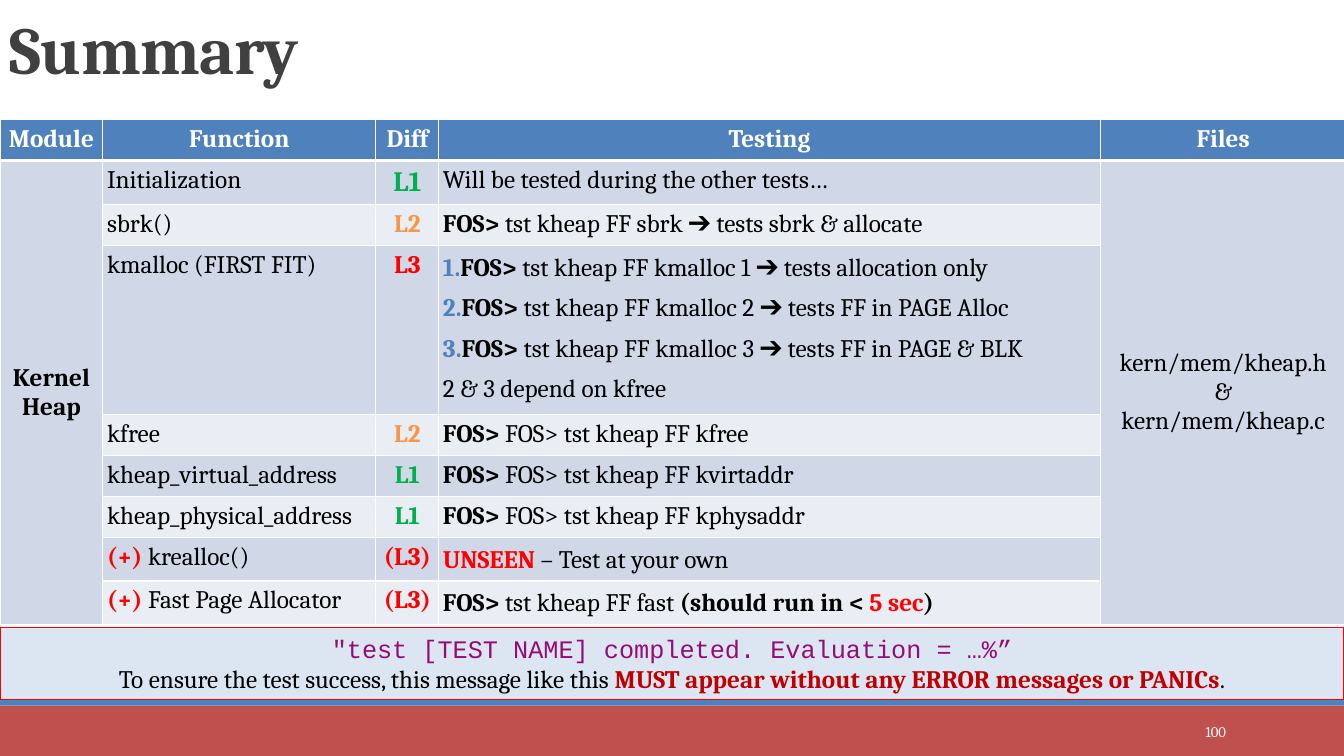
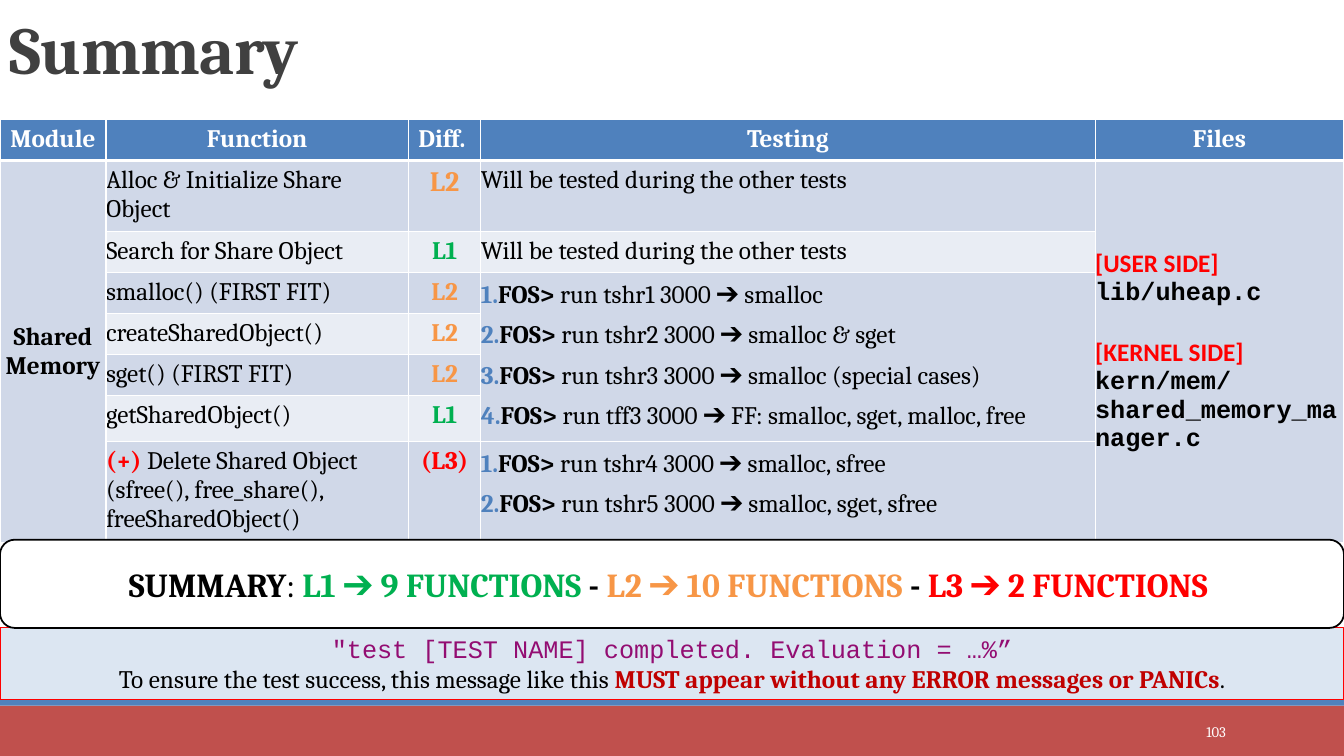
from dataclasses import dataclass, field
from typing import Any, Optional

from lxml import etree
from pptx import Presentation
from pptx.dml.color import RGBColor
from pptx.enum.shapes import MSO_SHAPE
from pptx.enum.text import MSO_ANCHOR, PP_ALIGN
from pptx.oxml.ns import qn
from pptx.util import Emu, Pt

RECT, ROUND_RECT = MSO_SHAPE.RECTANGLE, MSO_SHAPE.ROUNDED_RECTANGLE
LEFT, CENTER, RIGHT = PP_ALIGN.LEFT, PP_ALIGN.CENTER, PP_ALIGN.RIGHT
TOP, MIDDLE, BOTTOM = MSO_ANCHOR.TOP, MSO_ANCHOR.MIDDLE, MSO_ANCHOR.BOTTOM

EMU_PER_PX = 9525
SLIDE_W, SLIDE_H = 1280, 720
TABLE_TOP = 114
ROW_H = 39


@dataclass(frozen=True)
class Theme:
    serif: str = "Cambria"
    sans: str = "Calibri"
    mono: str = "Courier New"
    title_size: float = 48
    summary_size: float = 24
    first_level_size: float = 20
    body_size: float = 18
    number_size: float = 10.5
    white: str = "FFFFFF"
    black: str = "000000"
    title: str = "404040"
    blue: str = "4F81BD"
    brick: str = "C0504D"
    band_dark: str = "D0D8E8"
    band_light: str = "E9EDF4"
    note_fill: str = "DCE6F2"
    green: str = "00B050"
    orange: str = "F79646"
    red: str = "FF0000"
    dark_red: str = "C00000"
    purple: str = "930D72"


T = Theme()
LEVEL_COLORS = {"L1": T.green, "L2": T.orange, "L3": T.red}


@dataclass(frozen=True)
class Run:
    text: str
    color: str = T.black
    bold: bool = False
    size: float = T.body_size
    font: str = T.serif


@dataclass(frozen=True)
class Para:
    runs: list[Run]
    align: Any = LEFT
    numbered: bool = False
    spacing: dict[str, Any] = field(default_factory=dict)


@dataclass(frozen=True)
class Box:
    x: int
    y: int
    w: int
    h: int

    def emu(self) -> list[Emu]:
        return [px(v) for v in (self.x, self.y, self.w, self.h)]


@dataclass(frozen=True)
class Row:
    function: Para
    level: str
    testing: list[Para]
    height: int = ROW_H
    testing_span: int = 1


@dataclass(frozen=True)
class Module:
    name: str
    page: str
    headings: list[str]
    widths: list[int]
    inset: int
    rows: list[Row]
    files: list[Para]


LOOSE = {"line_spacing": 1.1, "space_before": Pt(2), "space_after": Pt(4)}


def px(n: int) -> Emu:
    return Emu(n * EMU_PER_PX)


def rgb(color: str) -> RGBColor:
    return RGBColor.from_string(color)


def set_all(target: Any, values: dict[str, Any]) -> None:
    for name, value in values.items():
        setattr(target, name, value)


def plain(text: str, align: Any = LEFT) -> Para:
    return Para([Run(text)], align)


def bold(text: str, color: str = T.black, align: Any = LEFT, **style: Any) -> Para:
    return Para([Run(text, color, True, **style)], align)


def fos(command: str) -> list[Run]:
    """Return a command after the bold shell prompt."""
    return [Run("FOS> ", bold=True), Run(command)]


def steps(*commands: str) -> list[Para]:
    return [Para(fos(c), numbered=True, spacing=LOOSE) for c in commands]


def bonus(text: str) -> Para:
    return Para([Run("(+)", T.red, True), Run(" " + text)])


def write(tf: Any, paras: list[Para]) -> None:
    for i, para in enumerate(paras):
        p = tf.paragraphs[0] if i == 0 else tf.add_paragraph()
        set_all(p, {"alignment": para.align, **para.spacing})
        for run in para.runs:
            r = p.add_run()
            r.text = run.text
            set_all(r.font, {"name": run.font, "size": Pt(run.size), "bold": run.bold})
            r.font.color.rgb = rgb(run.color)
        if para.numbered:
            number(p)


def number(p: Any) -> None:
    """Give a paragraph a blue automatic number."""
    ppr = p._p.get_or_add_pPr()
    ppr.set("marL", str(px(10)))
    ppr.set("indent", str(px(-36)))
    clr = etree.SubElement(ppr, qn("a:buClr"))
    etree.SubElement(clr, qn("a:srgbClr"), val=T.blue)
    etree.SubElement(ppr, qn("a:buAutoNum"), type="arabicPeriod")


def add_panel(s: Any, kind: Any, box: Box, fill: str, line: Optional[str] = None,
              width: float = 0.75) -> Any:
    sp = s.shapes.add_shape(kind, *box.emu())
    sp.shadow.inherit = False
    sp.fill.solid()
    sp.fill.fore_color.rgb = rgb(fill)
    if line:
        sp.line.color.rgb = rgb(line)
        sp.line.width = Pt(width)
    else:
        sp.line.fill.background()
    return sp


def add_text(s: Any, box: Box, para: Para, anchor: Any) -> Any:
    tf = s.shapes.add_textbox(*box.emu()).text_frame
    set_all(tf, {"word_wrap": True, "vertical_anchor": anchor})
    write(tf, [para])
    return tf


def style_cell(cell: Any, fill: str, inset: int, top: float, bottom: float) -> None:
    """Fill a cell and rule its sides in white, widths in points."""
    set_all(cell, {"margin_left": px(inset), "margin_right": px(inset),
                   "margin_top": px(5), "margin_bottom": px(5)})
    cell.fill.solid()
    cell.fill.fore_color.rgb = rgb(fill)
    tcpr = cell._tc.get_or_add_tcPr()
    sides = {"a:lnL": 1, "a:lnR": 1, "a:lnT": top, "a:lnB": bottom}
    for i, (tag, width) in enumerate(sides.items()):
        ln = etree.Element(qn(tag), w=str(Pt(width)))
        solid = etree.SubElement(ln, qn("a:solidFill"))
        etree.SubElement(solid, qn("a:srgbClr"), val=T.white)
        tcpr.insert(i, ln)


def add_module_table(s: Any, m: Module) -> None:
    heights = [ROW_H] + [row.height for row in m.rows]
    box = Box(0, TABLE_TOP, sum(m.widths), sum(heights))
    table = s.shapes.add_table(len(heights), len(m.widths), *box.emu()).table
    table.horz_banding = False
    for col, width in zip(table.columns, m.widths):
        col.width = px(width)
    for i, height in enumerate(heights):
        table.rows[i].height = px(height)
        fill = T.blue if i == 0 else (T.band_light, T.band_dark)[i % 2]
        for cell in table.rows[i].cells:
            style_cell(cell, fill, m.inset, 3 if i == 1 else 1, 3 if i == 0 else 1)

    for c, heading in enumerate(m.headings):
        write(table.cell(0, c).text_frame, [bold(heading, T.white, CENTER)])
    for c, paras in ((0, [bold(m.name, align=CENTER)]), (4, m.files)):
        cell = table.cell(1, c)
        cell.merge(table.cell(len(m.rows), c))
        cell.vertical_anchor = MIDDLE
        write(cell.text_frame, paras)
    for i, row in enumerate(m.rows, 1):
        size = T.first_level_size if i == 1 else T.body_size
        level = bold(row.level, LEVEL_COLORS[row.level.strip("()")], CENTER, size=size)
        write(table.cell(i, 1).text_frame, [row.function])
        write(table.cell(i, 2).text_frame, [level])
        if row.testing_span > 1:
            table.cell(i, 3).merge(table.cell(i + row.testing_span - 1, 3))
        if row.testing:
            write(table.cell(i, 3).text_frame, row.testing)


def add_success_note(s: Any) -> None:
    tf = add_panel(s, RECT, Box(0, 598, SLIDE_W, 68), T.note_fill, T.red).text_frame
    set_all(tf, {"word_wrap": True, "vertical_anchor": TOP})
    write(tf, [
        Para([Run('"test [TEST NAME] completed. Evaluation = …%”', T.purple, font=T.mono)], CENTER),
        Para([Run("To ensure the test success, this message like this "),
              Run("MUST appear without any ERROR messages or PANICs", T.dark_red, True),
              Run(".")], CENTER),
    ])


def add_module_slide(prs: Any, m: Module) -> Any:
    s = prs.slides.add_slide(prs.slide_layouts[6])
    add_panel(s, RECT, Box(0, 672, SLIDE_W, 48), T.brick)
    add_panel(s, RECT, Box(0, 665, SLIDE_W, 7), T.blue)
    title = Para([Run("Summary", T.title, True, T.title_size)], spacing={"line_spacing": 0.85})
    tf = add_text(s, Box(0, 1, 1056, 88), title, BOTTOM)
    tf.paragraphs[0].runs[0].font._element.set("spc", "-50")
    add_module_table(s, m)
    page = Para([Run(m.page, T.white, size=T.number_size)], RIGHT)
    add_text(s, Box(1040, 678, 137, 38), page, MIDDLE)
    add_success_note(s)
    return s


def add_level_totals(s: Any) -> None:
    box = Box(0, 514, SLIDE_W, 84)
    tf = add_panel(s, ROUND_RECT, box, T.white, T.black, 1.25).text_frame
    set_all(tf, {"word_wrap": True, "vertical_anchor": MIDDLE})
    size = T.summary_size
    runs = [Run("SUMMARY", bold=True, size=size), Run(": ", size=size)]
    for i, (level, count) in enumerate((("L1", 9), ("L2", 10), ("L3", 2))):
        if i:
            runs.append(Run("- ", bold=True, size=size))
        runs.append(Run(f"{level} ➔ {count} FUNCTIONS ", LEVEL_COLORS[level], True, size))
    write(tf, [Para(runs, CENTER)])


KERNEL_HEAP = Module(
    "Kernel Heap", "100", ["Module", "Function", "Diff", "Testing", "Files"],
    [98, 260, 60, 630, 234], 4,
    [
        Row(plain("Initialization"), "L1", [plain("Will be tested during the other tests…")]),
        Row(plain("sbrk()"), "L2", [Para(fos("tst kheap FF sbrk ➔ tests sbrk & allocate"))]),
        Row(plain("kmalloc (FIRST FIT)"), "L3",
            steps("tst kheap FF kmalloc 1 ➔ tests allocation only",
                  "tst kheap FF kmalloc 2 ➔ tests FF in PAGE Alloc",
                  "tst kheap FF kmalloc 3 ➔ tests FF in PAGE & BLK")
            + [Para([Run("2 & 3 depend on kfree")], spacing=LOOSE)], height=154),
        Row(plain("kfree"), "L2", [Para(fos("FOS> tst kheap FF kfree"))]),
        Row(plain("kheap_virtual_address"), "L1", [Para(fos("FOS> tst kheap FF kvirtaddr"))]),
        Row(plain("kheap_physical_address"), "L1", [Para(fos("FOS> tst kheap FF kphysaddr"))]),
        Row(bonus("krealloc()"), "(L3)",
            [Para([Run("UNSEEN", T.red, True), Run(" – Test at your own")], spacing=LOOSE)]),
        Row(bonus("Fast Page Allocator"), "(L3)",
            [Para(fos("tst kheap FF fast ")
                  + [Run("(should run in < ", bold=True), Run("5 sec", T.red, True),
                     Run(")", bold=True)], spacing=LOOSE)]),
    ],
    [plain(line, CENTER) for line in ("kern/mem/kheap.h", "&", "kern/mem/kheap.c")],
)

SHARED_MEMORY = Module(
    "Shared Memory", "103", ["Module", "Function", "Diff. ", "Testing", "Files"],
    [101, 288, 69, 585, 237], 0,
    [
        Row(plain("Alloc & Initialize Share Object"), "L2",
            [plain("Will be tested during the other tests")], height=64),
        Row(plain("Search for Share Object"), "L1",
            [plain("Will be tested during the other tests")]),
        Row(plain("smalloc() (FIRST FIT)"), "L2",
            steps("run tshr1 3000 ➔ smalloc", "run tshr2 3000 ➔ smalloc & sget",
                  "run tshr3 3000 ➔ smalloc (special cases)",
                  "run tff3 3000 ➔ FF: smalloc, sget, malloc, free"), testing_span=4),
        Row(plain("createSharedObject()"), "L2", []),
        Row(plain("sget() (FIRST FIT)"), "L2", []),
        Row(plain("getSharedObject()"), "L1", []),
        Row(bonus("Delete Shared Object (sfree(), free_share(), freeSharedObject()"), "(L3)",
            steps("run tshr4 3000 ➔ smalloc, sfree", "run tshr5 3000 ➔ smalloc, sget, sfree"),
            height=92),
    ],
    [
        bold("[USER SIDE]", T.red, font=T.sans),
        bold("lib/uheap.c", font=T.mono),
        Para([Run("[KERNEL SIDE]", T.red, True, font=T.sans)], spacing={"space_before": Pt(21)}),
        bold("kern/mem/shared_memory_manager.c", font=T.mono),
    ],
)


def main() -> None:
    prs = Presentation()
    set_all(prs, {"slide_width": px(SLIDE_W), "slide_height": px(SLIDE_H)})
    add_module_slide(prs, KERNEL_HEAP)
    add_level_totals(add_module_slide(prs, SHARED_MEMORY))
    prs.save("out.pptx")


if __name__ == "__main__":
    main()
